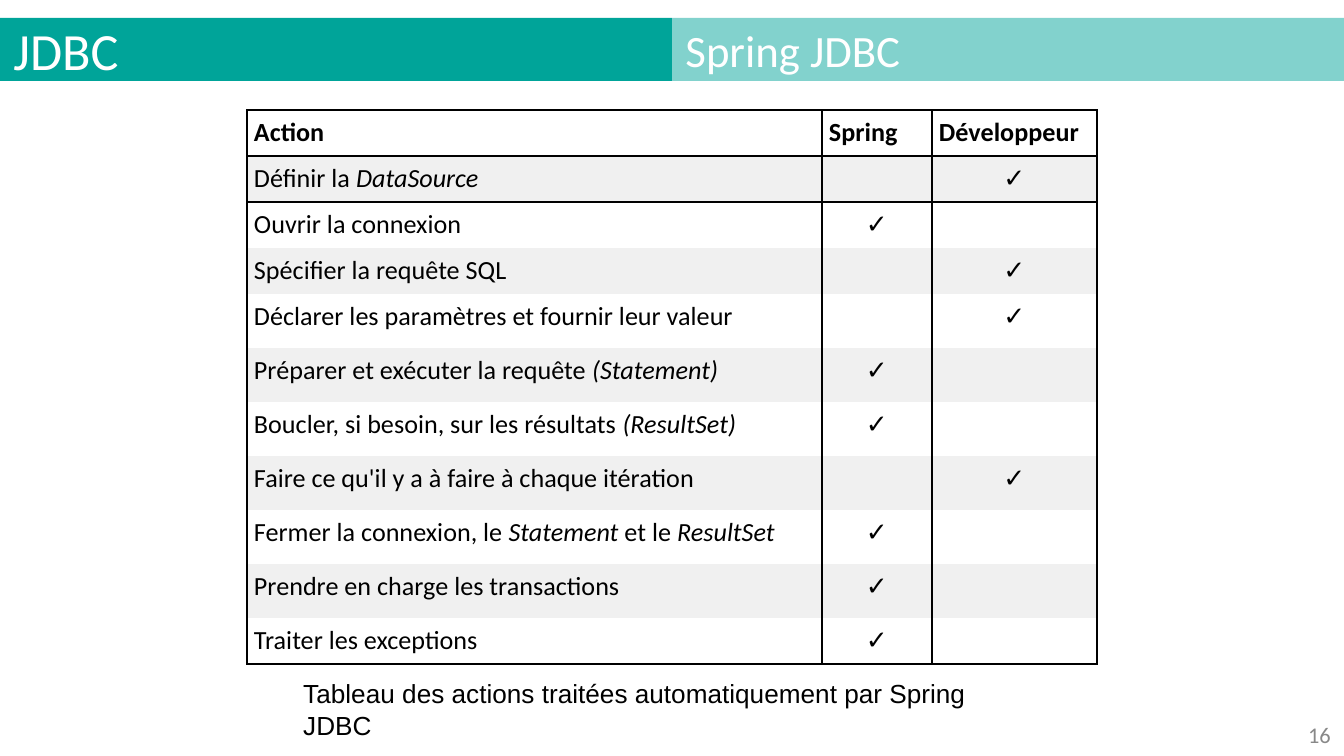
"""Build the Spring JDBC slide: two title bands, a task table and its caption."""
from lxml.etree import SubElement
from pptx import Presentation
from pptx.dml.color import RGBColor
from pptx.enum.text import MSO_ANCHOR as Anchor, MSO_AUTO_SIZE as AutoSize, PP_ALIGN as Align
from pptx.oxml.ns import qn
from pptx.util import Pt

EMU_PER_PX = 914400 / 134.4
TEAL = RGBColor(0x00, 0xA4, 0x99)
WHITE = RGBColor(0xFF, 0xFF, 0xFF)
BLACK = RGBColor(0x00, 0x00, 0x00)
BAND = RGBColor(0xF0, 0xF0, 0xF0)
GREY = RGBColor(0x88, 0x88, 0x88)
NO_STYLE = "{2D5ABB26-0587-4C30-8999-92F81FD0307C}"

SPRING, DEVELOPER = 1, 2
HEADERS = ["Action", "Spring", "Développeur"]
ACTIONS = [
    ("Définir la *DataSource*", DEVELOPER),
    ("Ouvrir la connexion", SPRING),
    ("Spécifier la requête SQL", DEVELOPER),
    ("Déclarer les paramètres et fournir leur valeur", DEVELOPER),
    ("Préparer et exécuter la requête *(Statement)*", SPRING),
    ("Boucler, si besoin, sur les résultats *(ResultSet)*", SPRING),
    ("Faire ce qu'il y a à faire à chaque itération", DEVELOPER),
    ("Fermer la connexion, le *Statement* et le *ResultSet*", SPRING),
    ("Prendre en charge les transactions", SPRING),
    ("Traiter les exceptions", SPRING),
]
COLUMN_WIDTHS = [575, 110, 165]
ROW_HEIGHTS = [46] * 4 + [54] * 6 + [46]


def px(n):
    return round(n * EMU_PER_PX)


class Deck:
    def __init__(self, width, height):
        self.prs = Presentation()
        self.prs.slide_width, self.prs.slide_height = px(width), px(height)
        self.s = None
        self.font = "Calibri"

    def slide(self):
        self.s = self.prs.slides.add_slide(self.prs.slide_layouts[1])

    def style(self, r, size, color, font=None, bold=False, italic=False):
        r.font.name, r.font.size = font or self.font, Pt(size)
        r.font.bold, r.font.italic = bold, italic
        r.font.color.rgb = color

    def place(self, sp, x, y, w, h):
        sp.left, sp.top, sp.width, sp.height = px(x), px(y), px(w), px(h)

    def heading(self, sp, text, box, size, alpha=100):
        self.place(sp, *box)
        sp.fill.solid()
        sp.fill.fore_color.rgb = TEAL
        if alpha < 100:
            color = sp.fill._xPr.find(".//" + qn("a:srgbClr"))
            SubElement(color, qn("a:alpha")).set("val", str(alpha * 1000))
        tf = sp.text_frame
        tf.text = text
        tf.auto_size, tf.vertical_anchor = AutoSize.NONE, Anchor.MIDDLE
        p = tf.paragraphs[0]
        p.alignment = Align.LEFT
        pPr = p._p.get_or_add_pPr()
        pPr.set("marL", "0")
        pPr.set("indent", "0")
        SubElement(pPr, qn("a:buNone"))
        self.style(p.runs[0], size, WHITE)

    def text(self, text, box, size, color, font=None, align=Align.LEFT, anchor=Anchor.TOP):
        tf = self.s.shapes.add_textbox(*map(px, box)).text_frame
        tf.text = text
        tf.word_wrap, tf.vertical_anchor = True, anchor
        p = tf.paragraphs[0]
        p.alignment = align
        self.style(p.runs[0], size, color, font)

    def borders(self, cell, sides):
        tcPr = cell._tc.get_or_add_tcPr()
        for i, side in enumerate(sides):
            ln = tcPr.makeelement(qn("a:ln" + side), {"w": str(Pt(1))})
            fill = SubElement(ln, qn("a:solidFill"))
            SubElement(fill, qn("a:srgbClr")).set("val", str(BLACK))
            tcPr.insert(i, ln)

    def cell(self, cell, text, size, fill, sides, header=False, centred=False):
        cell.margin_left = cell.margin_right = px(7)
        cell.margin_top = cell.margin_bottom = px(7)
        cell.vertical_anchor = Anchor.MIDDLE if header else Anchor.TOP
        cell.fill.solid()
        cell.fill.fore_color.rgb = fill
        self.borders(cell, sides)
        p = cell.text_frame.paragraphs[0]
        p.alignment = Align.CENTER if centred else Align.LEFT
        for i, part in enumerate(text.split("*")):
            if part:
                r = p.add_run()
                r.text = part
                self.style(r, size, BLACK, bold=header, italic=i % 2 == 1)
        if not text:
            p._p.get_or_add_endParaRPr().set("sz", str(size * 100))

    def table(self, rows, x, y, widths, heights, size):
        box = map(px, (x, y, sum(widths), sum(heights)))
        table = self.s.shapes.add_table(len(rows), len(widths), *box).table
        table.first_row = table.horz_banding = False
        table._tbl.tblPr.find(qn("a:tableStyleId")).text = NO_STYLE
        for column, w in zip(table.columns, widths):
            column.width = px(w)
        for i, (row, h) in enumerate(zip(rows, heights)):
            table.rows[i].height = px(h)
            sides = ["L", "R"] + ["T"] * (i < 2) + ["B"] * (i in (0, len(rows) - 1))
            for j, text in enumerate(row):
                self.cell(table.cell(i, j), text, size, BAND if i % 2 else WHITE,
                          sides, header=i == 0, centred=i > 0 and j > 0)


def main():
    deck = Deck(1344, 756)
    deck.slide()
    title, body = deck.s.placeholders
    deck.heading(title, "JDBC", (0, 18, 672, 63), 28)
    deck.heading(body, "Spring JDBC", (672, 18, 672, 63), 24, alpha=49)
    deck.text("16", (1180, 715, 164, 40), 12, GREY, align=Align.RIGHT, anchor=Anchor.MIDDLE)
    rows = [HEADERS] + [
        [label] + ["✓" if who == column else "" for column in (SPRING, DEVELOPER)]
        for label, who in ACTIONS
    ]
    deck.table(rows, 247, 110, COLUMN_WIDTHS, ROW_HEIGHTS, 14)
    deck.text("Tableau des actions traitées automatiquement par Spring JDBC",
              (290, 671, 762, 46), 14, BLACK, font="Arial")
    deck.prs.save("out.pptx")


if __name__ == "__main__":
    main()
